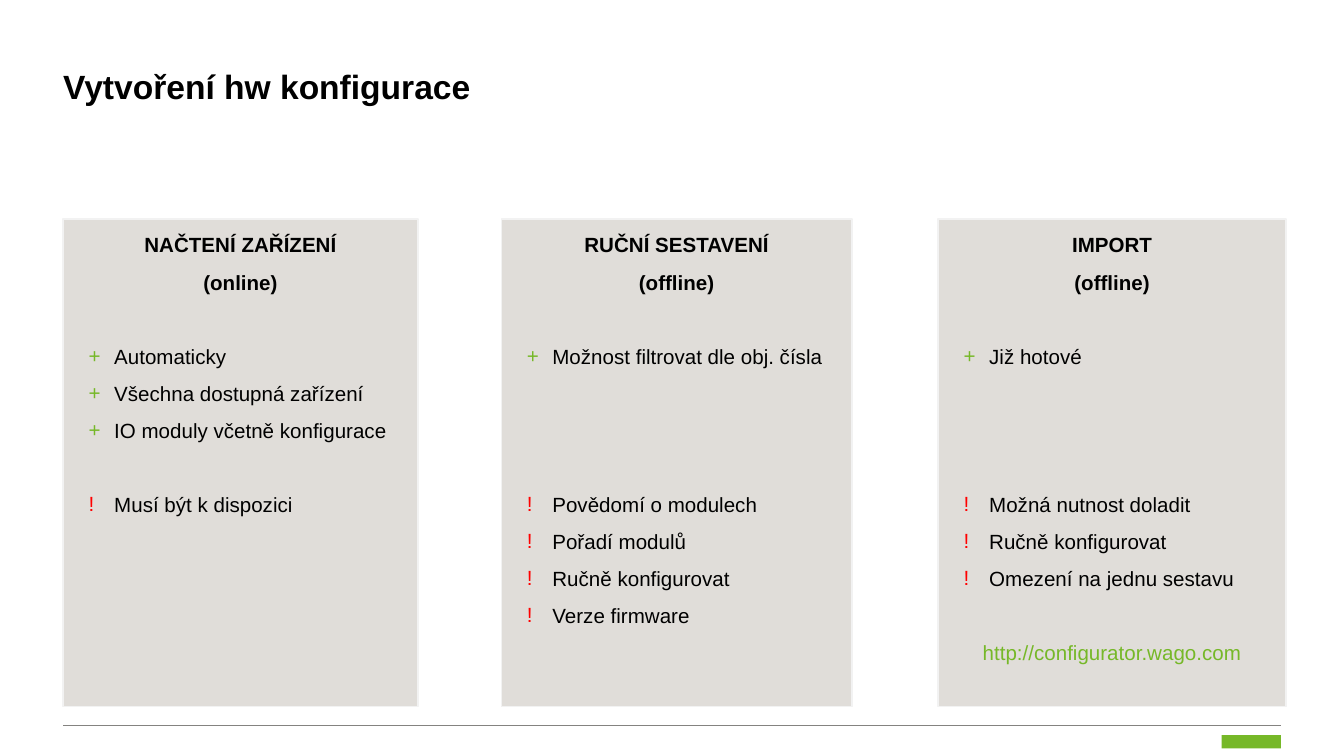
import pptx
import pptx.util
import pptx.dml.color
import pptx.enum.shapes
import pptx.enum.text
import pptx.oxml
import pptx.oxml.ns
from dataclasses import dataclass
from lxml import etree

Inches = pptx.util.Inches
Pt = pptx.util.Pt
RGB = pptx.dml.color.RGBColor.from_string
PP_ALIGN = pptx.enum.text.PP_ALIGN
SHAPES = pptx.enum.shapes.MSO_SHAPE


@dataclass(frozen=True)
class Theme:
    font: str = "Arial"
    title_size: float = 18
    body_size: float = 11
    ink: str = "000000"
    green: str = "76B828"
    red: str = "FF0000"
    panel: str = "E0DDD9"
    panel_edge: str = "F2F2F2"
    rule: str = "848380"


theme = Theme()
PARAGRAPH_GAP = 4  # points before and after each line
ROW = 19.88        # points from one line to the next
BULLET_COLORS = {"+": theme.green, "!": theme.red}


def set_font(paragraph, size, color=theme.ink, bold=False):
    paragraph.font.name = theme.font
    paragraph.font.size = Pt(size)
    paragraph.font.bold = bold
    paragraph.font.color.rgb = RGB(color)


def add_bullet(paragraph, sign):
    properties = paragraph._p.get_or_add_pPr()
    properties.set("marL", str(Inches(0.38)))
    properties.set("indent", str(Inches(-0.19)))
    qn = pptx.oxml.ns.qn
    bullet_color = etree.SubElement(properties, qn("a:buClr"))
    etree.SubElement(bullet_color, qn("a:srgbClr"), val=BULLET_COLORS[sign])
    etree.SubElement(properties, qn("a:buFont"), typeface=theme.font)
    etree.SubElement(properties, qn("a:buChar"), char=sign)


# Each line: kind (heading, + advantage, ! caution, link), empty rows above, text
columns = [
    (0.47, 2.64, [
        ("heading", 0, "NAČTENÍ ZAŘÍZENÍ"),
        ("heading", 0, "(online)"),
        ("+", 1, "Automaticky"),
        ("+", 0, "Všechna dostupná zařízení"),
        ("+", 0, "IO moduly včetně konfigurace"),
        ("!", 1, "Musí být k dispozici"),
    ]),
    (3.73, 2.61, [
        ("heading", 0, "RUČNÍ SESTAVENÍ"),
        ("heading", 0, "(offline)"),
        ("+", 1, "Možnost filtrovat dle obj. čísla"),
        ("!", 3, "Povědomí o modulech"),
        ("!", 0, "Pořadí modulů"),
        ("!", 0, "Ručně konfigurovat"),
        ("!", 0, "Verze firmware"),
    ]),
    (6.98, 2.59, [
        ("heading", 0, "IMPORT"),
        ("heading", 0, "(offline)"),
        ("+", 1, "Již hotové"),
        ("!", 3, "Možná nutnost doladit"),
        ("!", 0, "Ručně konfigurovat"),
        ("!", 0, "Omezení na jednu sestavu"),
        ("link", 1, "http://configurator.wago.com"),
    ]),
]

presentation = pptx.Presentation()
presentation.slide_width = Inches(10)
presentation.slide_height = Inches(5.625)
slide = presentation.slides.add_slide(presentation.slide_layouts[5])

# Title
title = slide.shapes.title
title.left, title.top = Inches(0.47), Inches(0.49)
title.width, title.height = Inches(9.06), Inches(0.91)
heading = title.text_frame
heading.margin_left = heading.margin_right = 0
heading.margin_top = heading.margin_bottom = 0
heading.vertical_anchor = pptx.enum.text.MSO_ANCHOR.TOP
heading.auto_size = pptx.enum.text.MSO_AUTO_SIZE.NONE
heading.text = "Vytvoření hw konfigurace"
heading.paragraphs[0].alignment = PP_ALIGN.LEFT
set_font(heading.paragraphs[0], theme.title_size, bold=True)

# Footer rule and a plain mark at its right end
footer_rule = slide.shapes.add_connector(
    pptx.enum.shapes.MSO_CONNECTOR.STRAIGHT,
    Inches(0.47), Inches(5.4), Inches(9.53), Inches(5.4))
footer_rule.line.color.rgb = RGB(theme.rule)
footer_rule.line.width = Pt(0.5)
etree.SubElement(footer_rule._element.spPr, pptx.oxml.ns.qn("a:effectLst"))

footer_mark = slide.shapes.add_shape(
    SHAPES.RECTANGLE, Inches(9.09), Inches(5.47), Inches(0.44), Inches(0.1))
footer_mark.shadow.inherit = False
footer_mark.fill.solid()
footer_mark.fill.fore_color.rgb = RGB(theme.green)
footer_mark.line.fill.background()

# Three ways to create the configuration
for left, width, lines in columns:
    panel = slide.shapes.add_shape(
        SHAPES.RECTANGLE, Inches(left), Inches(1.63), Inches(width), Inches(3.63))
    panel.shadow.inherit = False
    panel.fill.solid()
    panel.fill.fore_color.rgb = RGB(theme.panel)
    panel.line.color.rgb = RGB(theme.panel_edge)
    panel.line.width = Pt(0.75)

    frame = panel.text_frame
    frame.word_wrap = True
    frame.vertical_anchor = pptx.enum.text.MSO_ANCHOR.TOP
    frame.margin_left = frame.margin_right = frame.margin_bottom = 0
    frame.margin_top = Inches(0.12)

    for index, (kind, empty_rows, text) in enumerate(lines):
        paragraph = frame.add_paragraph() if index else frame.paragraphs[0]
        paragraph.text = text
        paragraph.line_spacing = 0.9
        paragraph.space_after = Pt(PARAGRAPH_GAP)
        if index:
            paragraph.space_before = Pt(PARAGRAPH_GAP + empty_rows * ROW)
        if kind in BULLET_COLORS:
            paragraph.alignment = PP_ALIGN.LEFT
            add_bullet(paragraph, kind)
        else:
            paragraph.alignment = PP_ALIGN.CENTER
        set_font(paragraph, theme.body_size,
                 color=theme.green if kind == "link" else theme.ink,
                 bold=kind == "heading")

presentation.save("out.pptx")
